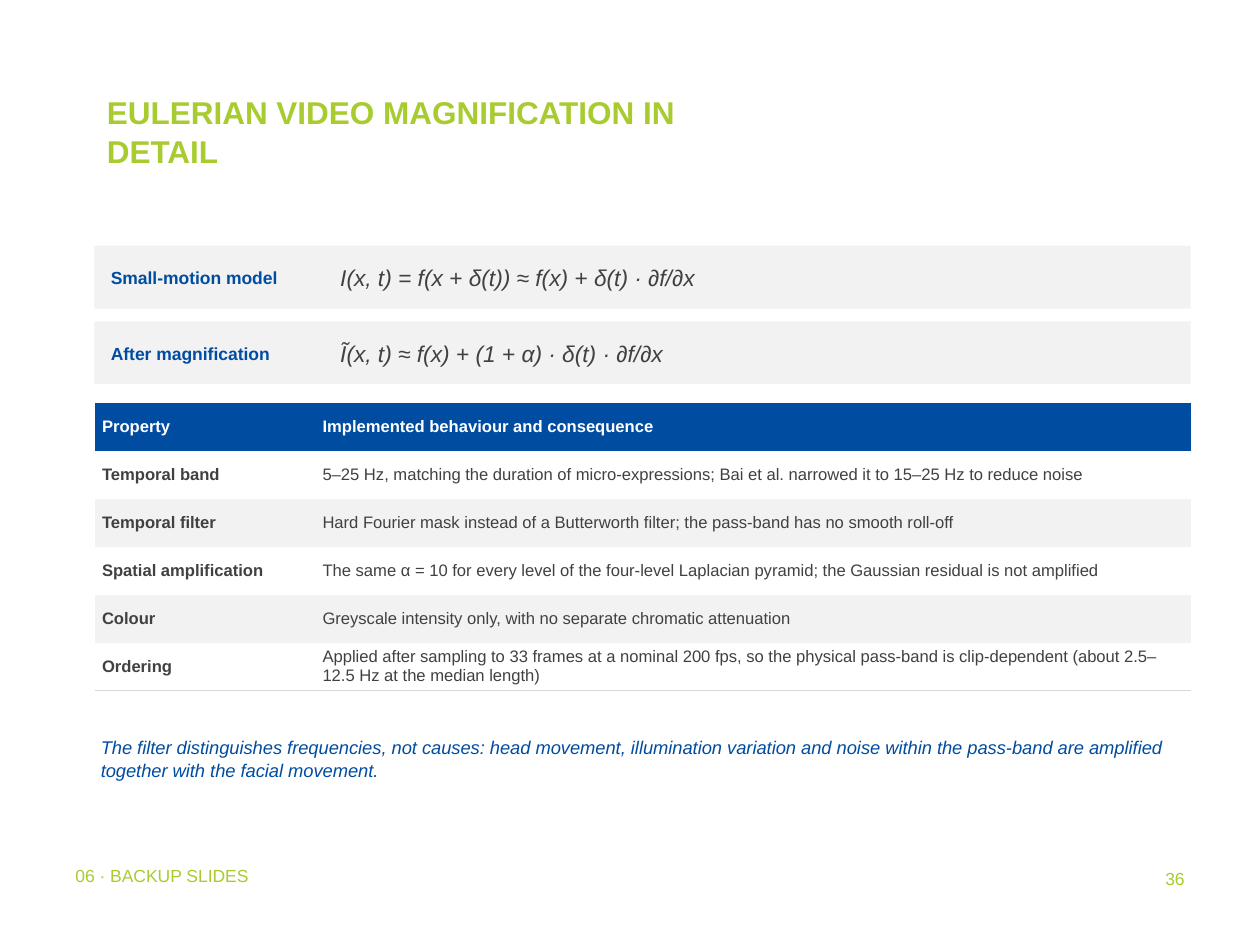
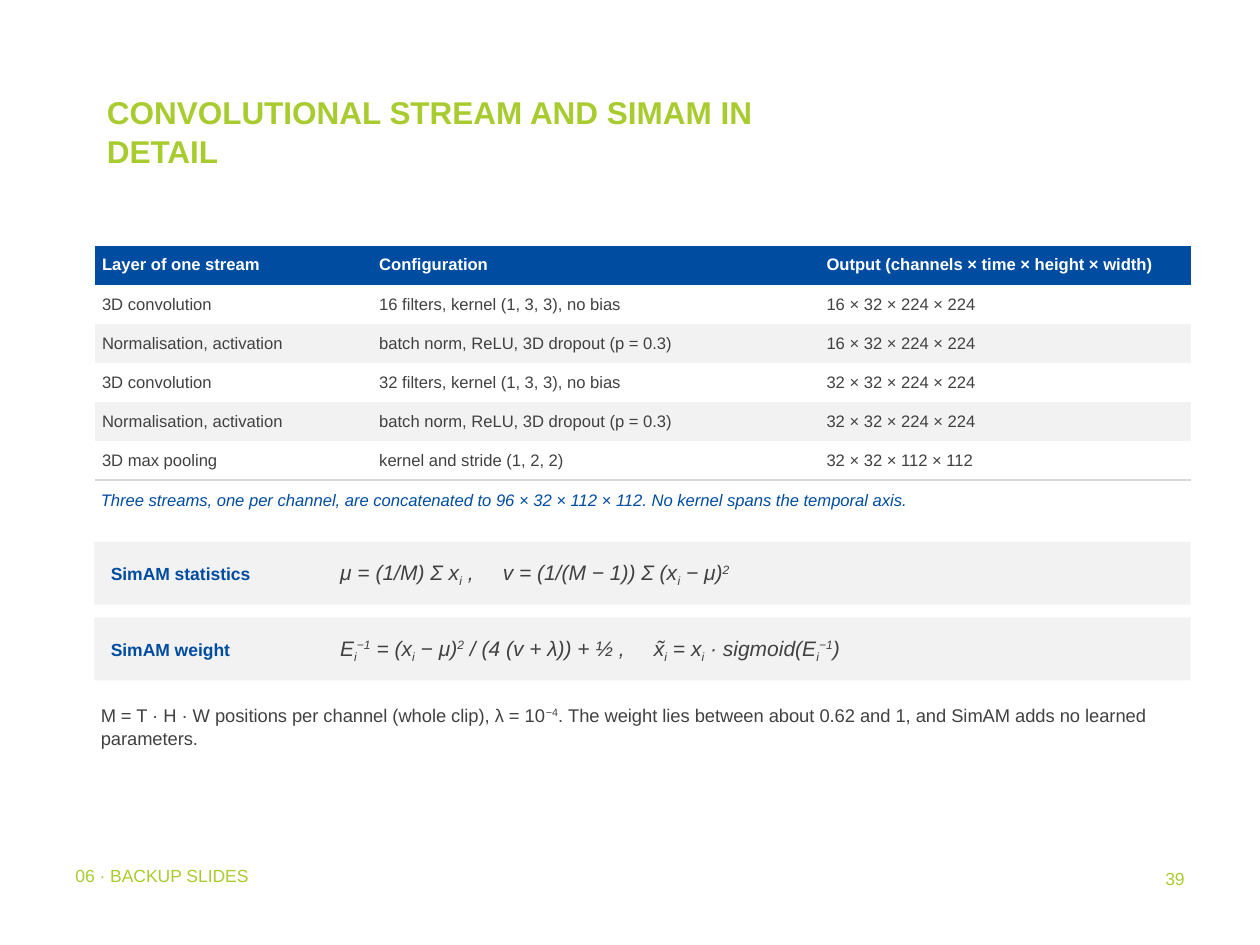
from dataclasses import dataclass

from lxml import etree
from pptx import Presentation
from pptx import util as u
from pptx.dml.color import RGBColor
from pptx.enum import shapes, text
from pptx.oxml import ns

LIME = RGBColor(0xA8, 0xCC, 0x2F)
BLUE = RGBColor(0x00, 0x4C, 0xA0)
INK = RGBColor(0x41, 0x41, 0x41)
PALE = RGBColor(0xF2, 0xF2, 0xF2)
RULE = RGBColor(0xD9, 0xD9, 0xD9)
WHITE = RGBColor(0xFF, 0xFF, 0xFF)

FACE = "Arial"
LEFT, WIDTH = 0.75, 8.7
BAND, PITCH = 0.5, 0.6
PLAIN = "{2D5ABB26-0587-4C30-8999-92F81FD0307C}"
SHIFT = {"_": "-25000", "^": "30000"}

HEAD = {"size": u.Pt(18), "bold": True, "color": LIME}
FOOT = {"size": u.Pt(10), "color": LIME}
LABEL = {"size": u.Pt(10), "bold": True, "color": BLUE}
BODY = {"size": u.Pt(10.5), "color": INK}
CLAIM = {"size": u.Pt(10.5), "italic": True, "color": BLUE}
SMALL = CLAIM | {"size": u.Pt(9.5)}
CELL = {"size": u.Pt(9.5), "color": INK}


@dataclass
class Formula:
    label: str
    math: str
    size: float
    tab: float = 0


@dataclass
class Grid:
    top: float
    cols: list[float]
    row: float
    rows: list[tuple[str, ...]]
    keyed: bool = False


@dataclass
class Note:
    words: str
    top: float
    height: float
    style: dict


@dataclass
class Page:
    title: str
    number: str
    grid: Grid
    band_top: float
    formulas: list[Formula]
    notes: list[Note]


def write(para, words: str, style: dict) -> None:
    """Split words at bars; a part led by _ or ^ is lowered or raised."""
    for part in words.split("|"):
        run = para.add_run()
        shift = SHIFT.get(part[:1])
        run.text = part[1:] if shift else part
        run.font.name = FACE
        for key, value in style.items():
            if key == "color":
                run.font.color.rgb = value
            else:
                setattr(run.font, key, value)
        if shift:
            run.font._element.set("baseline", shift)


def put(slide, box: tuple, words: str, style: dict, pad: tuple = (0.05, 0.03),
        tab: float = 0, **form) -> None:
    frame = slide.shapes.add_textbox(*map(u.Inches, box)).text_frame
    frame.word_wrap = True
    frame.margin_left = frame.margin_right = u.Inches(pad[0])
    frame.margin_top = frame.margin_bottom = u.Inches(pad[1])
    frame.vertical_anchor = form.pop("anchor", text.MSO_ANCHOR.TOP)
    para = frame.paragraphs[0]
    if tab:
        tabs = etree.SubElement(para._p.get_or_add_pPr(), ns.qn("a:tabLst"))
        etree.SubElement(tabs, ns.qn("a:tab"), pos=str(u.Inches(tab)), algn="l")
    for key, value in ({"line_spacing": 1.05} | form).items():
        setattr(para, key, value)
    write(para, words, style)


def draw_band(slide, top: float, item: Formula) -> None:
    bar = slide.shapes.add_shape(
        shapes.MSO_SHAPE.RECTANGLE, *map(u.Inches, (LEFT, top, WIDTH, BAND)))
    bar.shadow.inherit = False
    bar.fill.solid()
    bar.fill.fore_color.rgb = PALE
    bar.line.fill.background()
    mid = text.MSO_ANCHOR.MIDDLE
    put(slide, (0.83, top, 1.8, BAND), item.label, LABEL, anchor=mid)
    style = {"size": u.Pt(item.size), "italic": True, "color": INK}
    put(slide, (2.65, top, 6.72, BAND), item.math, style, tab=item.tab, anchor=mid)


def underline(cell) -> None:
    line = etree.Element(ns.qn("a:lnB"), w=str(u.Pt(0.75)))
    fill = etree.SubElement(line, ns.qn("a:solidFill"))
    etree.SubElement(fill, ns.qn("a:srgbClr"), val=str(RULE))
    cell._tc.get_or_add_tcPr().insert(0, line)


def draw_grid(slide, grid: Grid) -> None:
    count = len(grid.rows)
    box = (LEFT, grid.top, WIDTH, grid.row * count)
    table = slide.shapes.add_table(count, len(grid.cols), *map(u.Inches, box)).table
    table._tbl.tblPr.find(ns.qn("a:tableStyleId")).text = PLAIN
    table.first_row = table.horz_banding = False
    for col, width in zip(table.columns, grid.cols):
        col.width = u.Inches(width)
    for r, row in enumerate(grid.rows):
        table.rows[r].height = u.Inches(grid.row)
        for c, words in enumerate(row):
            cell = table.cell(r, c)
            cell.margin_left = cell.margin_right = u.Inches(0.06)
            cell.margin_top = cell.margin_bottom = u.Inches(0.02)
            cell.vertical_anchor = text.MSO_ANCHOR.MIDDLE
            cell.fill.solid()
            cell.fill.fore_color.rgb = BLUE if r == 0 else (PALE, WHITE)[r % 2]
            style = CELL | {"bold": r == 0 or (grid.keyed and c == 0)}
            if r == 0:
                style["color"] = WHITE
            write(cell.text_frame.paragraphs[0], words, style)
            if r == count - 1:
                underline(cell)


def draw_page(deck, page: Page) -> None:
    slide = deck.slides.add_slide(deck.slide_layouts[6])
    put(slide, (LEFT, 0.67, 5.42, 1.25), page.title, HEAD, (0.1, 0.05))
    put(slide, (0.5, 6.83, 5.67, 0.4), "06 · BACKUP SLIDES", FOOT, (0.1, 0.03))
    put(slide, (7.42, 6.83, 2.08, 0.5), page.number, FOOT, (0.1, 0.05),
        alignment=text.PP_ALIGN.RIGHT)
    for i, item in enumerate(page.formulas):
        draw_band(slide, page.band_top + i * PITCH, item)
    draw_grid(slide, page.grid)
    for note in page.notes:
        put(slide, (LEFT, note.top, WIDTH, note.height), note.words, note.style,
            space_after=u.Pt(3))


NORM = ("Normalisation, activation", "batch norm, ReLU, 3D dropout (p = 0.3)")

PAGES = [
    Page(
        "EULERIAN VIDEO MAGNIFICATION IN DETAIL", "36",
        Grid(3.2, [1.75, 6.95], 0.38, [
            ("Property", "Implemented behaviour and consequence"),
            ("Temporal band", "5–25 Hz, matching the duration of micro-expressions; "
             "Bai et al. narrowed it to 15–25 Hz to reduce noise"),
            ("Temporal filter", "Hard Fourier mask instead of a Butterworth filter; "
             "the pass-band has no smooth roll-off"),
            ("Spatial amplification", "The same α = 10 for every level of the "
             "four-level Laplacian pyramid; the Gaussian residual is not amplified"),
            ("Colour", "Greyscale intensity only, with no separate chromatic attenuation"),
            ("Ordering", "Applied after sampling to 33 frames at a nominal 200 fps, "
             "so the physical pass-band is clip-dependent "
             "(about 2.5–12.5 Hz at the median length)"),
        ], keyed=True),
        1.95,
        [Formula("Small-motion model", "I(x, t) = f(x + δ(t)) ≈ f(x) + δ(t) · ∂f/∂x", 13),
         Formula("After magnification", "Ĩ(x, t) ≈ f(x) + (1 + α) · δ(t) · ∂f/∂x", 13)],
        [Note("The filter distinguishes frequencies, not causes: head movement, "
              "illumination variation and noise within the pass-band are amplified "
              "together with the facial movement.", 5.8, 0.65, CLAIM)],
    ),
    Page(
        "CONVOLUTIONAL STREAM AND SIMAM IN DETAIL", "39",
        Grid(1.95, [2.2, 3.55, 2.95], 0.31, [
            ("Layer of one stream", "Configuration",
             "Output (channels × time × height × width)"),
            ("3D convolution", "16 filters, kernel (1, 3, 3), no bias",
             "16 × 32 × 224 × 224"),
            (*NORM, "16 × 32 × 224 × 224"),
            ("3D convolution", "32 filters, kernel (1, 3, 3), no bias",
             "32 × 32 × 224 × 224"),
            (*NORM, "32 × 32 × 224 × 224"),
            ("3D max pooling", "kernel and stride (1, 2, 2)", "32 × 32 × 112 × 112"),
        ]),
        4.3,
        [Formula("SimAM statistics",
                 "μ = (1/M) Σ x|_i| ,\tv = (1/(M − 1)) Σ (x|_i| − μ)|^2", 12, 1.29),
         Formula("SimAM weight",
                 "E|_i|^−1| = (x|_i| − μ)|^2| / (4 (v + λ)) + ½ ,\t"
                 "x̃|_i| = x|_i| · sigmoid(E|_i|^−1|)", 12, 2.49)],
        [Note("Three streams, one per channel, are concatenated to "
              "96 × 32 × 112 × 112. No kernel spans the temporal axis.",
              3.85, 0.3, SMALL),
         Note("M = T · H · W positions per channel (whole clip), λ = 10|^−4|. "
              "The weight lies between about 0.62 and 1, and SimAM adds no "
              "learned parameters.", 5.55, 0.8, BODY)],
    ),
]


def main() -> None:
    deck = Presentation()
    deck.slide_width, deck.slide_height = u.Inches(10), u.Inches(7.5)
    for page in PAGES:
        draw_page(deck, page)
    deck.save("out.pptx")


if __name__ == "__main__":
    main()
